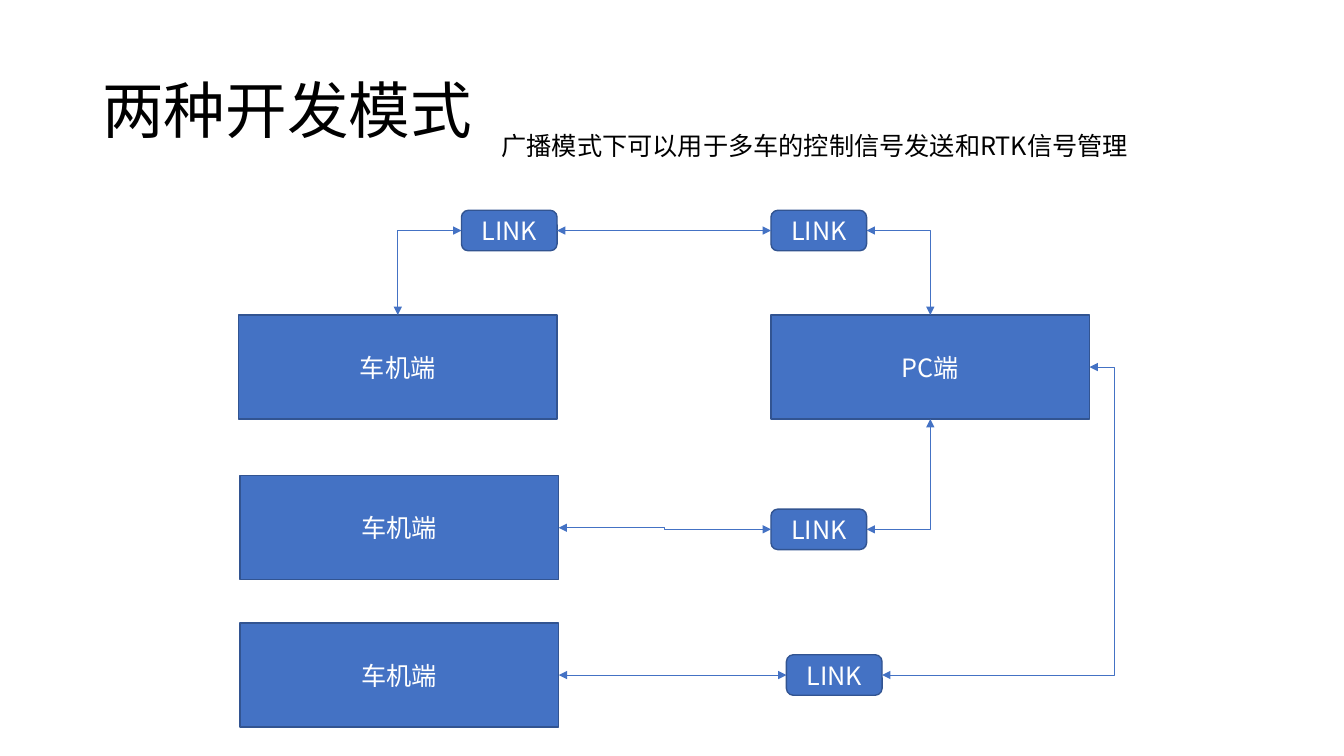
from lxml.etree import SubElement
from pptx import Presentation
from pptx.dml.color import RGBColor
from pptx.enum.shapes import MSO_CONNECTOR, MSO_SHAPE
from pptx.enum.text import MSO_ANCHOR, PP_ALIGN
from pptx.oxml.ns import qn
from pptx.util import Cm, Pt

FONT = "Noto Sans CJK SC"
BLUE, EDGE, WHITE, BLACK = "4472C4", "325491", "FFFFFF", "000000"
TOP, LEFT, BOTTOM, RIGHT = range(4)
DEVICE_W, DEVICE_H = 8.03, 2.62
RADIO_W, RADIO_H = 2.41, 1.02


def color(value):
    return RGBColor.from_string(value)


def write(frame, text, size, ink, align=PP_ALIGN.LEFT, anchor=MSO_ANCHOR.TOP, spacing=1.0):
    frame.word_wrap = True
    frame.vertical_anchor = anchor
    paragraph = frame.paragraphs[0]
    paragraph.alignment = align
    paragraph.line_spacing = spacing
    run = paragraph.add_run()
    run.text = text
    run.font.size = Pt(size)
    run.font.name = FONT
    run.font.color.rgb = color(ink)
    SubElement(run.font._element, qn("a:ea")).set("typeface", FONT)


def add_node(slide, kind, text, left, top, width, height):
    node = slide.shapes.add_shape(kind, Cm(left), Cm(top), Cm(width), Cm(height))
    node.shadow.inherit = False
    node.fill.solid()
    node.fill.fore_color.rgb = color(BLUE)
    node.line.color.rgb = color(EDGE)
    node.line.width = Pt(1)
    write(node.text_frame, text, 18, WHITE, PP_ALIGN.CENTER, MSO_ANCHOR.MIDDLE)
    return node


def add_device(slide, text, left, top):
    return add_node(slide, MSO_SHAPE.RECTANGLE, text, left, top, DEVICE_W, DEVICE_H)


def add_radio(slide, left, top):
    return add_node(slide, MSO_SHAPE.ROUNDED_RECTANGLE, "LINK", left, top, RADIO_W, RADIO_H)


def site_point(node, site):
    x = node.left + {LEFT: 0, RIGHT: node.width}.get(site, node.width // 2)
    y = node.top + {TOP: 0, BOTTOM: node.height}.get(site, node.height // 2)
    return x, y


def link(slide, start, start_site, end, end_site, preset="bentConnector3", bend=None):
    connector = slide.shapes.add_connector(
        MSO_CONNECTOR.ELBOW, *site_point(start, start_site), *site_point(end, end_site))
    connector.begin_connect(start, start_site)
    connector.end_connect(end, end_site)
    connector.line.color.rgb = color(BLUE)
    connector.line.width = Pt(0.5)
    properties = connector._element.spPr
    geometry = properties.find(qn("a:prstGeom"))
    geometry.set("prst", preset)
    if bend is not None:
        guides = geometry.get_or_add_avLst()
        guide = SubElement(guides, qn("a:gd"))
        guide.set("name", "adj1")
        guide.set("fmla", f"val {round(bend * 100000)}")
    outline = properties.find(qn("a:ln"))
    for arrow in ("a:headEnd", "a:tailEnd"):
        SubElement(outline, qn(arrow)).set("type", "triangle")
    SubElement(properties, qn("a:effectLst"))


def add_heading(slide, left, top, width, height):
    title = slide.shapes.add_textbox(Cm(left), Cm(top), Cm(width), Cm(height))
    write(title.text_frame, "两种开发模式", 44, BLACK, anchor=MSO_ANCHOR.MIDDLE, spacing=0.9)
    usage = slide.shapes.add_textbox(
        Cm(left + 10.06), Cm(top + 2.13), Cm(width - 8.2), Cm(1.02))
    write(usage.text_frame, "广播模式下可以用于多车的控制信号发送和RTK信号管理", 18, BLACK)


def add_network(slide, left, top, width):
    pc_left = left + width - DEVICE_W
    first_car = add_device(slide, "车机端", left, top + 2.64)
    second_car = add_device(slide, "车机端", left + 0.04, top + 6.69)
    third_car = add_device(slide, "车机端", left + 0.04, top + 10.4)
    pc = add_device(slide, "PC端", pc_left, top + 2.64)

    first_radio = add_radio(slide, left + DEVICE_W - RADIO_W, top)
    pc_radio = add_radio(slide, pc_left, top)
    second_radio = add_radio(slide, pc_left, top + 7.53)
    third_radio = add_radio(slide, pc_left + 0.39, top + 11.2)

    link(slide, first_radio, LEFT, first_car, TOP, "bentConnector2")
    link(slide, first_radio, RIGHT, pc_radio, LEFT, "straightConnector1")
    link(slide, pc_radio, RIGHT, pc, TOP, "bentConnector2")
    link(slide, second_radio, RIGHT, pc, BOTTOM, "bentConnector2")
    link(slide, second_radio, LEFT, second_car, RIGHT, bend=0.5)
    link(slide, third_radio, LEFT, third_car, RIGHT, "straightConnector1")
    link(slide, pc, RIGHT, third_radio, RIGHT, bend=-0.12)


def main():
    deck = Presentation()
    deck.slide_width, deck.slide_height = Cm(33.87), Cm(19.05)
    slide = deck.slides.add_slide(deck.slide_layouts[6])
    add_heading(slide, 2.33, 1.02, 29.21, 3.68)
    add_network(slide, 6.01, 5.3, 21.45)
    deck.save("out.pptx")


if __name__ == "__main__":
    main()
